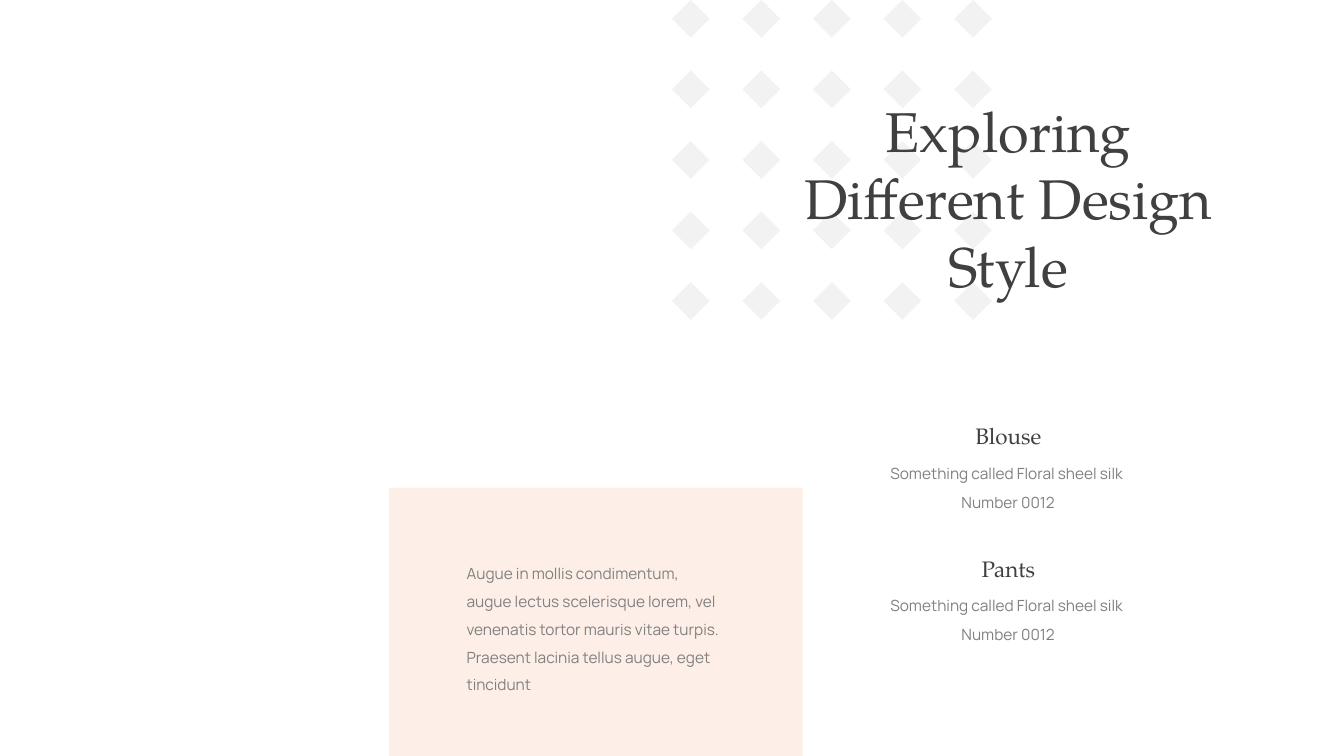
from dataclasses import dataclass
from itertools import product

from lxml.etree import SubElement
from pptx import Presentation
from pptx.dml.color import RGBColor
from pptx.enum.shapes import MSO_SHAPE
from pptx.enum.text import MSO_ANCHOR, MSO_AUTO_SIZE, PP_ALIGN
from pptx.oxml.ns import qn
from pptx.util import Inches, Pt

SERIF, SANS = "TeX Gyre Pagella", "Manrope"
DARK, GRAY, PALE, PEACH = "404040", "808080", "F2F2F2", "FDEFE6"


@dataclass
class Area:
    """Left, top, width and height in percent of the slide's size."""
    left: float
    top: float
    width: float
    height: float


@dataclass
class Garment:
    name: str
    fabric: str
    number: str


GARMENTS = [
    Garment("Blouse", "Something called Floral sheel silk ", "Number 0012"),
    Garment("Pants", "Something called Floral sheel silk ", "Number 0012"),
]

presentation = Presentation()
presentation.slide_width = Inches(13.33)
presentation.slide_height = Inches(7.5)
slide = presentation.slides.add_slide(presentation.slide_layouts[5])


def lengths(area: Area) -> tuple[int, int, int, int]:
    column = presentation.slide_width / 100
    row = presentation.slide_height / 100
    return (round(area.left * column), round(area.top * row),
            round(area.width * column), round(area.height * row))


def color(hex_value: str) -> RGBColor:
    return RGBColor.from_string(hex_value)


def write(text: str, area: Area, *, holder=None, size: float = 11, font: str = SANS,
          ink: str = GRAY, align=PP_ALIGN.CENTER, spacing: float = 1.5) -> None:
    """Put one formatted paragraph into a placeholder or a new text box."""
    if holder is None:
        holder = slide.shapes.add_textbox(*lengths(area))
    else:
        holder.left, holder.top, holder.width, holder.height = lengths(area)
    frame = holder.text_frame
    frame.text = text
    frame.word_wrap = True
    frame.auto_size = MSO_AUTO_SIZE.NONE
    frame.vertical_anchor = MSO_ANCHOR.TOP
    paragraph = frame.paragraphs[0]
    paragraph.alignment = align
    paragraph.line_spacing = spacing
    run = paragraph.runs[0]
    run.font.size = Pt(size)
    run.font.name = font
    run.font.color.rgb = color(ink)


def draw(kind: MSO_SHAPE, area: Area, fill: str, opacity: int = 100) -> None:
    shape = slide.shapes.add_shape(kind, *lengths(area))
    shape.shadow.inherit = False
    shape.line.fill.background()
    shape.fill.solid()
    shape.fill.fore_color.rgb = color(fill)
    if opacity < 100:
        tint = shape.fill._xPr.find(".//" + qn("a:srgbClr"))
        SubElement(tint, qn("a:alpha"), val=str(opacity * 1000))


def describe(garment: Garment, top: float) -> None:
    write(garment.fabric, Area(60.62, top + 6, 28.81, 5.07))
    write(garment.name, Area(61.22, top, 27.61, 6), size=16, font=SERIF, ink=DARK)
    write(garment.number, Area(65.04, top + 9.87, 19.95, 5.07))


# Diamond pattern
for row, column in product(range(5), repeat=2):
    draw(MSO_SHAPE.DIAMOND, Area(50 + column * 5.25, row * 9.33, 2.8, 4.98), PALE)

# Title, in front of the pattern
title = slide.shapes.title
slide.shapes._spTree.append(title._element)
write("Exploring Different Design Style", Area(56.49, 12.13, 37.06, 28.27),
      holder=title, size=40, font=SERIF, ink=DARK, spacing=1.0)

# Garments
for index, garment in enumerate(GARMENTS):
    describe(garment, 53.47 + index * 17.47)

# Peach panel with its paragraph
draw(MSO_SHAPE.RECTANGLE, Area(28.96, 64.53, 30.76, 35.47), PEACH, opacity=95)
write("Augue in mollis condimentum, augue lectus scelerisque lorem, vel venenatis "
      "tortor mauris vitae turpis. Praesent lacinia tellus augue, eget tincidunt",
      Area(33.98, 72.8, 20.86, 19.87), align=PP_ALIGN.LEFT)

presentation.save("out.pptx")
